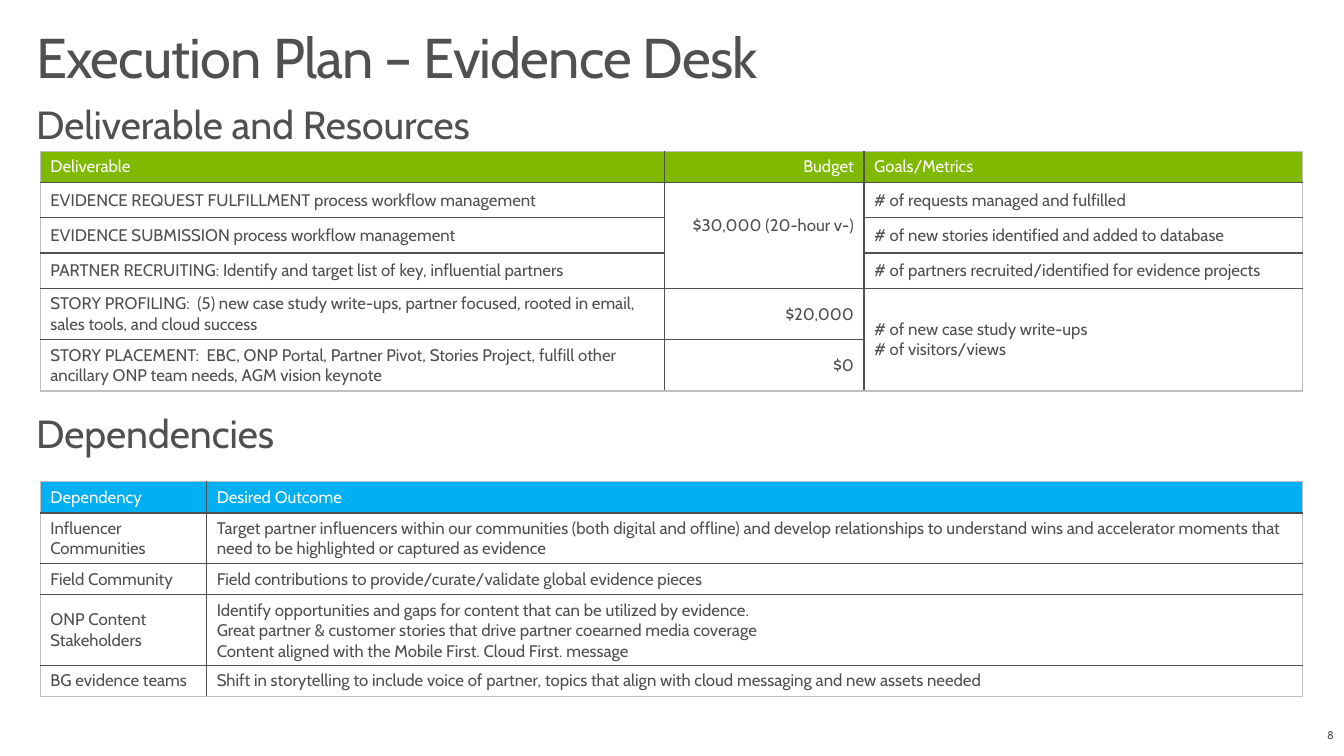
from lxml import etree
from pptx import Presentation
from pptx import util as u
from pptx.dml.color import RGBColor
from pptx.enum import text as t
from pptx.oxml.ns import qn

PX = 9144  # EMU per px, 100 px to the inch
FONT = "Cabin"
GREY, WHITE, EDGE = "505050", "FFFFFF", "BFBFBF"
GREEN, BLUE = "7FBA00", "00B0F0"
LEFT, RIGHT = t.PP_ALIGN.LEFT, t.PP_ALIGN.RIGHT
TOP, MIDDLE, BOTTOM = t.MSO_ANCHOR.TOP, t.MSO_ANCHOR.MIDDLE, t.MSO_ANCHOR.BOTTOM

DELIVERABLES = [
    ["Deliverable", "Budget", "Goals/Metrics"],
    ["EVIDENCE REQUEST FULFILLMENT process workflow management",
     "$30,000 (20-hour v-)", "# of requests managed and fulfilled"],
    ["EVIDENCE SUBMISSION process workflow management",
     "", "# of new stories identified and added to database"],
    ["PARTNER RECRUITING: Identify and target list of key, influential partners",
     "", "# of partners recruited/identified for evidence projects"],
    ["STORY PROFILING:  (5) new case study write-ups, partner focused, rooted in email, "
     "sales tools, and cloud success",
     "$20,000", "# of new case study write-ups\n# of visitors/views"],
    ["STORY PLACEMENT:  EBC, ONP Portal, Partner Pivot, Stories Project, fulfill other "
     "ancillary ONP team needs, AGM vision keynote", "$0", ""],
]
DEPENDENCIES = [
    ["Dependency", "Desired Outcome"],
    ["Influencer Communities",
     "Target partner influencers within our communities (both digital and offline) and "
     "develop relationships to understand wins and accelerator moments that need to be "
     "highlighted or captured as evidence"],
    ["Field Community",
     "Field contributions to provide/curate/validate global evidence pieces"],
    ["ONP Content Stakeholders",
     "Identify opportunities and gaps for content that can be utilized by evidence.\n"
     "Great partner & customer stories that drive partner coearned media coverage\n"
     "Content aligned with the Mobile First. Cloud First. message"],
    ["BG evidence teams",
     "Shift in storytelling to include voice of partner, topics that align with cloud "
     "messaging and new assets needed"],
]


def px(length):
    return u.Emu(length * PX)


def rgb(color):
    return RGBColor.from_string(color)


def write(frame, words, size, color=GREY, align=LEFT):
    """One paragraph, with one run, for each line of the words."""
    for i, line in enumerate(words.split("\n")):
        paragraph = frame.paragraphs[0] if i == 0 else frame.add_paragraph()
        paragraph.alignment = align
        run = paragraph.add_run()
        run.text = line
        run.font.name = FONT
        run.font.size = u.Pt(size)
        run.font.color.rgb = rgb(color)


def add_label(slide, box, words, size, anchor=TOP, align=LEFT):
    frame = slide.shapes.add_textbox(*map(px, box)).text_frame
    frame.word_wrap = True
    frame.vertical_anchor = anchor
    write(frame, words, size, align=align)
    return frame.paragraphs[0]


def add_title(slide, box, words):
    title = add_label(slide, box, words, 40, BOTTOM)
    title.line_spacing = 0.9
    title.runs[0].font._element.set("spc", "-60")


def set_borders(cell, sides):
    """sides: (side letter, colour) pairs in the order L, R, T, B."""
    properties = cell._tc.get_or_add_tcPr()
    for place, (side, color) in enumerate(sides):
        line = etree.Element(qn("a:ln" + side), w=str(u.Pt(1)))
        fill = etree.SubElement(line, qn("a:solidFill"))
        etree.SubElement(fill, qn("a:srgbClr"), val=color)
        properties.insert(place, line)


def add_grid(slide, left, top, widths, heights, rows, header, merges=(), right_column=None):
    """Table with a coloured header; merges are (first row, last row, column)."""
    size = px(sum(widths)), px(sum(heights))
    grid = slide.shapes.add_table(len(rows), len(widths), px(left), px(top), *size).table
    grid.horz_banding = False
    for column, width in zip(grid.columns, widths):
        column.width = px(width)
    for row, height in zip(grid.rows, heights):
        row.height = px(height)
    for first, last, c in merges:
        grid.cell(first, c).merge(grid.cell(last, c))

    for r, row in enumerate(rows):
        for c, words in enumerate(row):
            cell = grid.cell(r, c)
            cell.fill.solid()
            cell.fill.fore_color.rgb = rgb(WHITE if r else header)
            sides = [("L", GREY if c else EDGE),
                     ("R", GREY if c < len(row) - 1 else EDGE)]
            if not cell.is_spanned:
                last = r + (cell.span_height if cell.is_merge_origin else 1) - 1
                sides += [("T", GREY if r else EDGE),
                          ("B", GREY if last < len(rows) - 1 else EDGE)]
                cell.vertical_anchor = MIDDLE if r else TOP
                write(cell.text_frame, words, 12, GREY if r else WHITE,
                      RIGHT if c == right_column else LEFT)
            set_borders(cell, sides)
    return grid


def add_deliverables(slide, left, top):
    add_label(slide, (left, top, 1282, 55), "Deliverable and Resources", 28)
    grid = add_grid(slide, left + 14, top + 55, [619, 198, 435], [31, 35, 35, 35, 51, 51],
                    DELIVERABLES, GREEN, merges=[(1, 3, 1), (4, 5, 2)], right_column=1)
    grid.cell(1, 1).margin_bottom = px(25)  # lifts the shared budget above the middle


def add_dependencies(slide, left, top):
    add_label(slide, (left, top, 1282, 55), "Dependencies", 28)
    add_grid(slide, left + 14, top + 77, [165, 1087], [31, 50, 31, 70, 31],
             DEPENDENCIES, BLUE)


def main():
    deck = Presentation()
    deck.slide_width, deck.slide_height = px(1333), px(750)
    slide = deck.slides.add_slide(deck.slide_layouts[6])
    add_title(slide, (26, 24, 1282, 71), "Execution Plan – Evidence Desk")
    add_deliverables(slide, 26, 95)
    add_dependencies(slide, 26, 401)
    # Slide number
    add_label(slide, (1250, 709, 83, 41), "8", 8, MIDDLE, RIGHT)
    deck.save("out.pptx")


if __name__ == "__main__":
    main()
